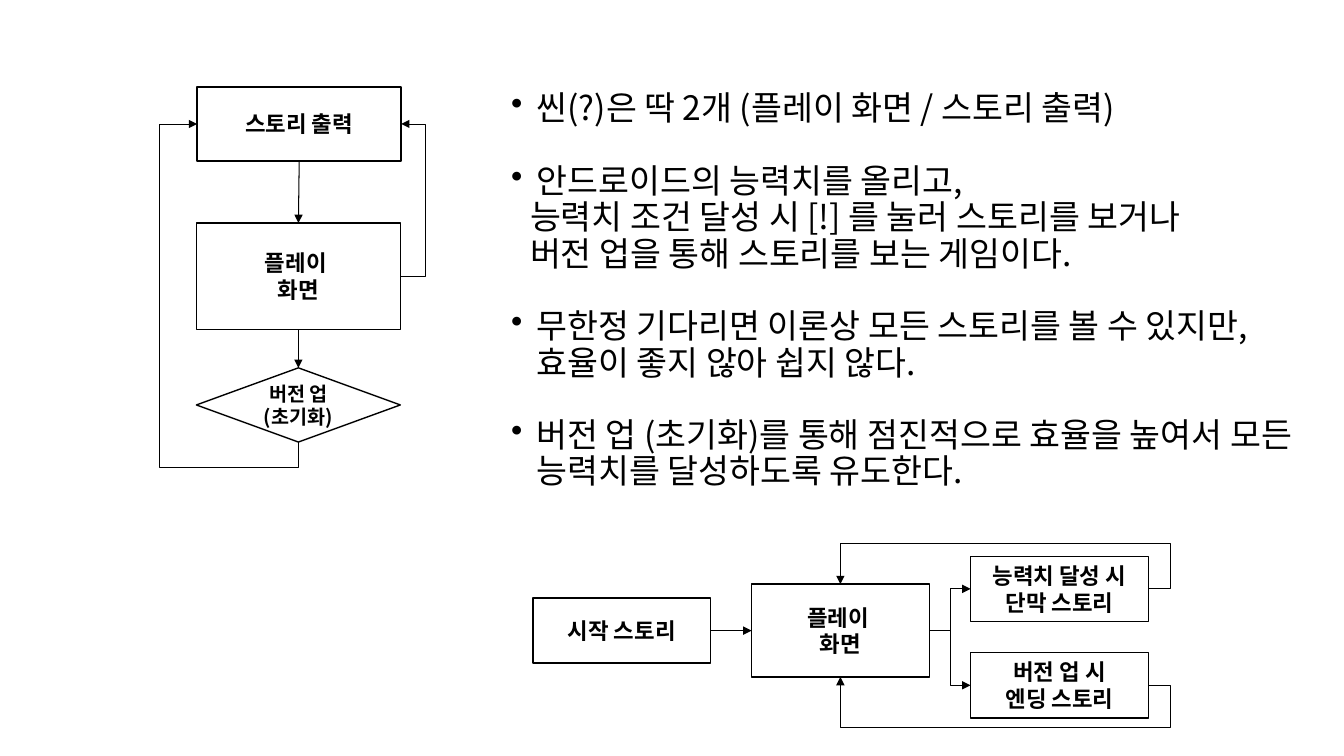
from lxml import etree
from pptx import Presentation
from pptx.dml.color import RGBColor
from pptx.enum.shapes import MSO_CONNECTOR, MSO_SHAPE
from pptx.enum.text import MSO_ANCHOR, PP_ALIGN
from pptx.oxml.ns import qn
from pptx.util import Cm, Pt

BLACK = RGBColor(0, 0, 0)
WHITE = RGBColor(255, 255, 255)
BOX = MSO_SHAPE.FLOWCHART_PROCESS
CHOICE = MSO_SHAPE.FLOWCHART_DECISION
STRAIGHT = MSO_CONNECTOR.STRAIGHT
ELBOW = MSO_CONNECTOR.ELBOW
CENTER = PP_ALIGN.CENTER
MIDDLE = MSO_ANCHOR.MIDDLE
TOP, LEFT, BOTTOM, RIGHT = range(4)


class Board:
    """Draws flow charts and notes on one slide in a shared style."""

    face = "Noto Sans CJK KR"

    def __init__(self, slide):
        self.slide = slide
        self.shapes = slide.shapes

    def group(self):
        self.shapes = self.slide.shapes.add_group_shape().shapes

    def style(self, para, size, bold=False):
        font = para.font
        font.name, font.size, font.bold = self.face, Pt(size), bold
        font.color.rgb = BLACK
        latin = para._p.pPr.find(qn("a:defRPr")).find(qn("a:latin"))
        east = etree.Element(qn("a:ea"), typeface=self.face)
        latin.addnext(east)

    def box(self, text, x, y, w, h, kind=BOX, size=16, flush=False):
        shape = self.shapes.add_shape(kind, Cm(x), Cm(y), Cm(w), Cm(h))
        shape.shadow.inherit = False
        shape.fill.solid()
        shape.fill.fore_color.rgb = WHITE
        shape.line.color.rgb = BLACK
        shape.line.width = Pt(1)
        frame = shape.text_frame
        frame.word_wrap = True
        frame.vertical_anchor = MIDDLE
        if flush:
            frame.margin_left = frame.margin_right = 0
            frame.margin_top = frame.margin_bottom = 0
        frame.text = text
        for para in frame.paragraphs:
            para.alignment = CENTER
            self.style(para, size, True)
        return shape

    def site(self, shape, side):
        x = shape.left + shape.width * (0, 0, 1, 2)[side] // 2
        y = shape.top + shape.height // 2
        if side in (TOP, BOTTOM):
            x = shape.left + shape.width // 2
            y = shape.top + (shape.height if side == BOTTOM else 0)
        return x, y

    def link(self, start, end, across=None, along=None, tip="tailEnd"):
        x1, y1 = self.site(*start)
        x2, y2 = self.site(*end)
        bent = across is not None
        wire = self.shapes.add_connector(ELBOW if bent else STRAIGHT, x1, y1, x2, y2)
        wire.begin_connect(*start)
        wire.end_connect(*end)
        wire.line.color.rgb = BLACK
        wire.line.width = Pt(0.5 if bent else 0.75)
        props = wire._element.spPr
        etree.SubElement(props.find(qn("a:ln")), qn("a:" + tip), type="triangle")
        etree.SubElement(props, qn("a:effectLst"))
        if bent:
            ratios = [(Cm(across) - x1) / (x2 - x1)]
            if along is not None:
                ratios.append((Cm(along) - y1) / (y2 - y1))
            shape = props.find(qn("a:prstGeom"))
            shape.set("prst", f"bentConnector{len(ratios) + 2}")
            guides = shape.find(qn("a:avLst"))
            for n, ratio in enumerate(ratios, 1):
                etree.SubElement(guides, qn("a:gd"), name=f"adj{n}",
                                 fmla=f"val {round(ratio * 100000)}")

    def notes(self, items, x, y, w, h, size=24, gap=26):
        frame = self.shapes.add_textbox(Cm(x), Cm(y), Cm(w), Cm(h)).text_frame
        frame.word_wrap = True
        lines = [(n, line) for item in items for n, line in enumerate(item)]
        for i, (n, line) in enumerate(lines):
            para = frame.paragraphs[0] if i == 0 else frame.add_paragraph()
            para.text = line
            para.line_spacing = 0.9
            para.space_before = Pt(0 if n or i == 0 else gap)
            self.style(para, size)
            props = para._p.pPr
            props.set("marL", str(Cm(0.48 if n else 0.64)))
            if n == 0:
                props.set("indent", str(-Cm(0.64)))
                mark = etree.Element(qn("a:buChar"), char="•")
                props.find(qn("a:defRPr")).addprevious(mark)


deck = Presentation()
deck.slide_width, deck.slide_height = Cm(33.87), Cm(19.05)
board = Board(deck.slides.add_slide(deck.slide_layouts[6]))

story = board.box("스토리 출력", 4.97, 2.19, 5.14, 1.87)
play = board.box("플레이 \n화면", 4.95, 5.62, 5.14, 2.69, flush=True)
reset = board.box("버전 업\n(초기화)", 4.95, 9.27, 5.14, 1.87, CHOICE, 14, True)
board.link((story, BOTTOM), (play, TOP))
board.link((play, BOTTOM), (reset, TOP))
board.link((play, RIGHT), (story, RIGHT), 10.73)
board.link((story, LEFT), (reset, BOTTOM), 4.02, 11.79, "headEnd")

board.notes([
    ["씬(?)은 딱 2개 (플레이 화면 / 스토리 출력)"],
    ["안드로이드의 능력치를 올리고, ",
     "능력치 조건 달성 시 [!] 를 눌러 스토리를 보거나",
     "버전 업을 통해 스토리를 보는 게임이다."],
    ["무한정 기다리면 이론상 모든 스토리를 볼 수 있지만, 효율이 좋지 않아 쉽지 않다."],
    ["버전 업 (초기화)를 통해 점진적으로 효율을 높여서 모든 능력치를 달성하도록 유도한다."],
], 12.63, 2.19, 20.52, 14.15)

board.group()
intro = board.box("시작 스토리", 13.43, 15.07, 4.48, 1.64)
hub = board.box("플레이 \n화면", 18.94, 14.72, 4.48, 2.34, flush=True)
board.link((intro, RIGHT), (hub, LEFT))
scenes = [("능력치 달성 시\n단막 스토리", 14.02, TOP, 13.7),
          ("버전 업 시\n엔딩 스토리", 16.45, BOTTOM, 18.32)]
for text, y, side, lane in scenes:
    scene = board.box(text, 24.46, y, 4.48, 1.64)
    board.link((hub, RIGHT), (scene, LEFT), 23.94)
    board.link((scene, RIGHT), (hub, side), 29.5, lane)

deck.save("out.pptx")
